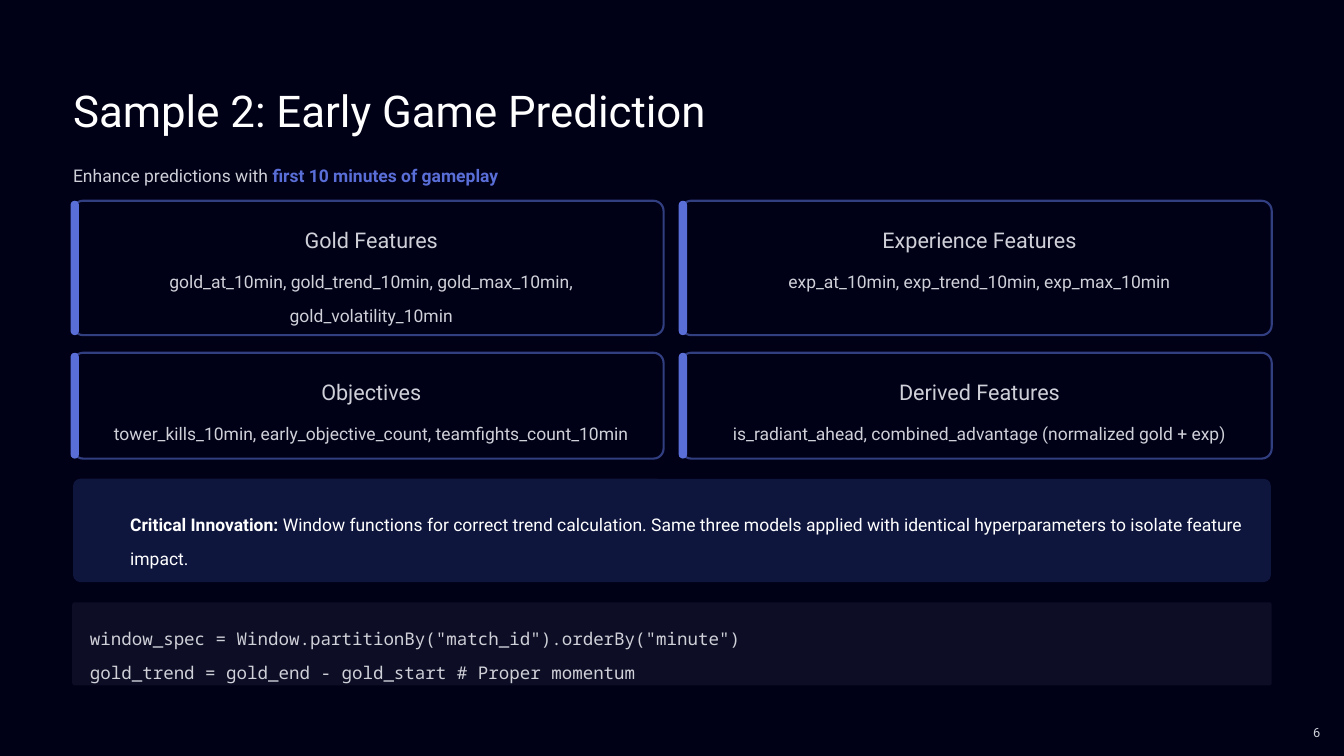
import pptx
import pptx.util
import pptx.dml.color
import pptx.enum.shapes
import pptx.enum.text

Inches = pptx.util.Inches
Pt = pptx.util.Pt
Align = pptx.enum.text.PP_ALIGN

NIGHT, ACCENT, BORDER = "000017", "5A6ED8", "313E80"
NAVY, CODE_FILL = "0F163E", "0D0D25"
WHITE, GREY = "FFFFFF", "CFD0D8"


def color(value):
    return pptx.dml.color.RGBColor.from_string(value)


class SlideBuilder:
    """Holds the text style and the current slide."""

    font = "Roboto"
    code_font = "Noto Sans Mono"
    body_size = 15
    body_spacing = 1.6

    def __init__(self, page):
        self.page = page
        page.background.fill.solid()
        page.background.fill.fore_color.rgb = color(NIGHT)

    def place(self, box, left, top, width, height):
        box.left, box.top = Inches(left), Inches(top)
        box.width, box.height = Inches(width), Inches(height)

    def fill_text(self, box, lines, size=body_size, spacing=body_spacing,
                  ink=GREY, align=Align.LEFT, font=font):
        """Each line is a list of (text, settings) spans."""
        frame = box.text_frame
        frame.word_wrap = True
        frame.auto_size = pptx.enum.text.MSO_AUTO_SIZE.NONE
        frame.vertical_anchor = pptx.enum.text.MSO_ANCHOR.TOP
        frame.margin_left = frame.margin_right = 0
        frame.margin_top = frame.margin_bottom = 0
        for index, line in enumerate(lines):
            para = frame.add_paragraph() if index else frame.paragraphs[0]
            para.alignment = align
            para.line_spacing = spacing
            para.space_before = Pt(0)
            para.font.name = font
            para.font.size = Pt(size)
            para.font.color.rgb = color(ink)
            for text, settings in line:
                span = para.add_run()
                span.text = text
                if "bold" in settings:
                    span.font.bold = settings["bold"]
                if "ink" in settings:
                    span.font.color.rgb = color(settings["ink"])

    def title(self, text, *area):
        box = self.page.shapes.title
        self.place(box, *area)
        self.fill_text(box, [[(text, {})]], size=37.5, spacing=1.25, ink=WHITE)

    def text(self, lines, *area, **style):
        box = self.page.shapes.add_textbox(*map(Inches, area))
        self.fill_text(box, lines, **style)

    def panel(self, area, fill, rounding, line=None):
        box = self.page.shapes.add_shape(
            pptx.enum.shapes.MSO_SHAPE.ROUNDED_RECTANGLE, *map(Inches, area))
        box.adjustments[0] = rounding
        box.shadow.inherit = False
        box.fill.solid()
        box.fill.fore_color.rgb = color(fill)
        if line:
            box.line.color.rgb = color(line)
            box.line.width = Pt(1.8)
        else:
            box.line.fill.background()

    def card(self, left, top, height, heading, features):
        self.panel((left, top, 7.03, height), NIGHT, 0.12 / height, BORDER)
        self.panel((left - 0.03, top, 0.1, height), ACCENT, 0.5)
        self.text([[(heading, {})]], left + 2.23, top + 0.23, 2.64, 0.33,
                  size=18.5, spacing=1.27, align=Align.CENTER)
        self.text([[(features, {})]], left + 0.31, top + 0.69, 6.48,
                  height - 0.92, align=Align.CENTER)


def main():
    deck = pptx.Presentation()
    deck.slide_width, deck.slide_height = Inches(16), Inches(9)
    slide = SlideBuilder(deck.slides.add_slide(deck.slide_layouts[5]))

    # Title and introduction
    slide.title("Sample 2: Early Game Prediction", 0.87, 0.84, 7.69, 0.66)
    slide.text([[("Enhance predictions with ", {}),
                 ("first 10 minutes of gameplay",
                  {"bold": True, "ink": ACCENT})]],
               0.87, 1.81, 14.26, 0.34)

    # Feature cards, two by two
    rows = [
        (2.39, 1.6, [
            ("Gold Features", "gold_at_10min, gold_trend_10min, "
             "gold_max_10min, gold_volatility_10min"),
            ("Experience Features",
             "exp_at_10min, exp_trend_10min, exp_max_10min")]),
        (4.2, 1.26, [
            ("Objectives", "tower_kills_10min, early_objective_count, "
             "teamfights_count_10min"),
            ("Derived Features", "is_radiant_ahead, combined_advantage "
             "(normalized gold + exp)")]),
    ]
    for top, height, cards in rows:
        for column, (heading, features) in enumerate(cards):
            slide.card(0.87 + 7.24 * column, top, height, heading, features)

    # Key message
    slide.panel((0.87, 5.7, 14.26, 1.23), NAVY, 0.07)
    slide.text([[("Critical Innovation:", {"bold": True}),
                 (" Window functions for correct trend calculation. Same "
                  "three models applied with identical hyperparameters to "
                  "isolate feature impact.", {})]],
               1.55, 5.97, 13.37, 0.67, ink=WHITE)

    # Code sample
    slide.panel((0.86, 7.17, 14.28, 0.99), CODE_FILL, 0.03)
    code = ['window_spec = Window.partitionBy("match_id").orderBy("minute")',
            "gold_trend = gold_end - gold_start # Proper momentum"]
    slide.text([[(line, {})] for line in code], 1.07, 7.33, 13.86, 0.67,
               font=slide.code_font)

    # Page number
    slide.text([[("6", {})]], 14.3, 8.34, 1.42, 0.4,
               size=11, spacing=2.59, align=Align.RIGHT)

    deck.save("out.pptx")


if __name__ == "__main__":
    main()
